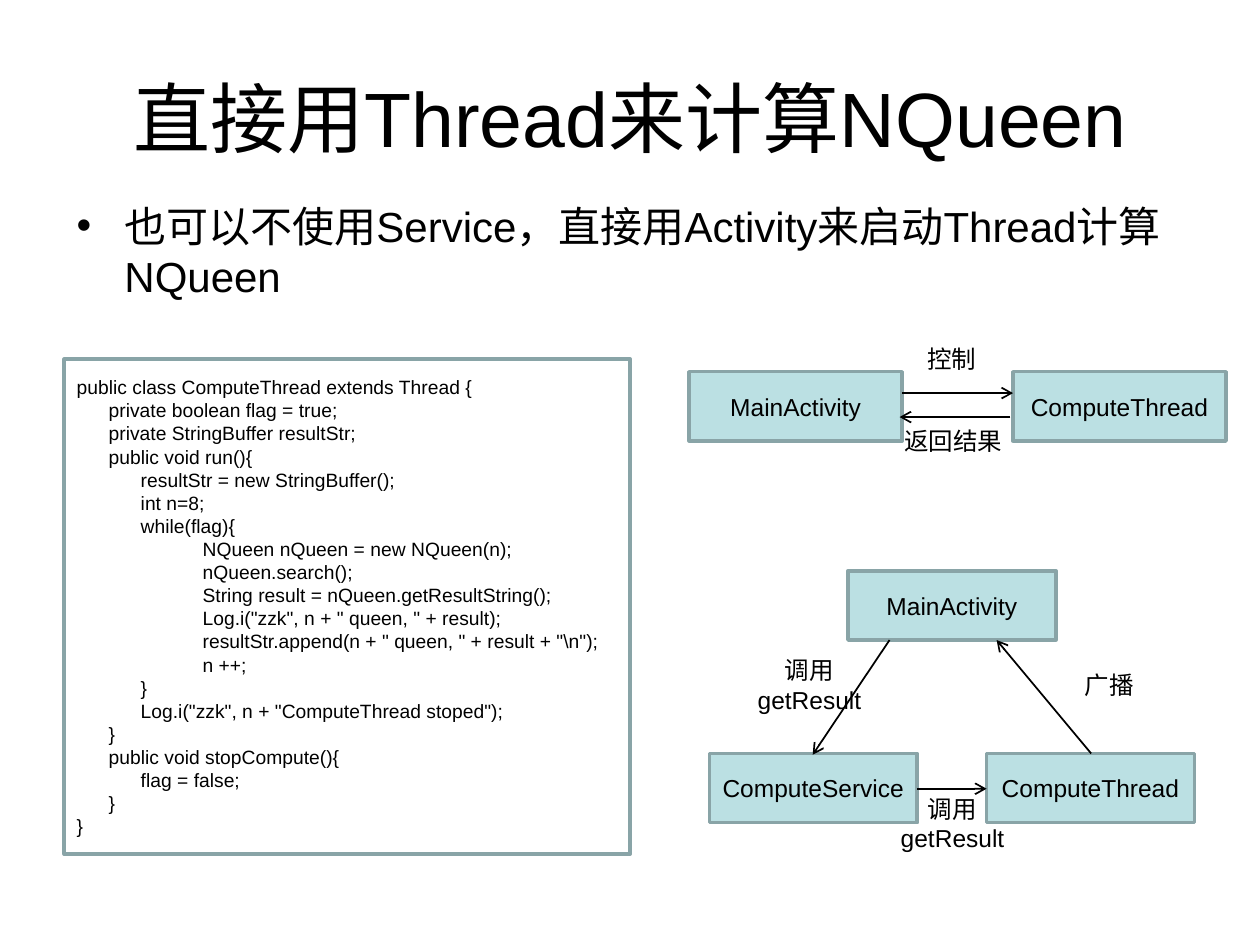
from dataclasses import dataclass

from lxml.etree import SubElement
from pptx import Presentation
from pptx.dml.color import RGBColor
from pptx.enum.shapes import MSO_CONNECTOR, MSO_SHAPE
from pptx.enum.text import MSO_ANCHOR, PP_ALIGN
from pptx.oxml.ns import qn
from pptx.util import Emu, Pt

PX = 9144  # 100 px to the inch
COLORS = {"text": "000000", "box": "BBE0E3", "border": "89A4A7", "paper": "FFFFFF"}
FONT = "Arial"

CODE = r"""public class ComputeThread extends Thread {
      private boolean flag = true;
      private StringBuffer resultStr;
      public void run(){
            resultStr = new StringBuffer();
            int n=8;
            while(flag){
    	NQueen nQueen = new NQueen(n);
    	nQueen.search();
    	String result = nQueen.getResultString();
    	Log.i("zzk", n + " queen, " + result);
    	resultStr.append(n + " queen, " + result + "\n");
	n ++;
            }
            Log.i("zzk", n + "ComputeThread stoped");
      }
      public void stopCompute(){
            flag = false;
      }
}"""


@dataclass(frozen=True)
class Area:
    left: int
    top: int
    width: int
    height: int
    text: str


@dataclass(frozen=True)
class Arrow:
    start_x: int
    start_y: int
    end_x: int
    end_y: int


BOXES = [
    Area(783, 598, 165, 55, "ComputeThread"),
    Area(673, 453, 165, 55, "MainActivity"),
    Area(563, 598, 165, 55, "ComputeService"),
    Area(547, 295, 169, 55, "MainActivity"),
    Area(804, 295, 169, 55, "ComputeThread"),
]
ARROWS = [
    Arrow(866, 598, 791, 508),
    Arrow(706, 508, 645, 599),
    Arrow(728, 626, 783, 626),
    Arrow(716, 312, 804, 312),
    Arrow(802, 331, 714, 331),
]
LABELS = [
    Area(839, 516, 83, 55, "广播"),
    Area(579, 516, 127, 55, "调用getResult"),
    Area(692, 626, 128, 55, "调用getResult"),
    Area(714, 257, 83, 55, "控制"),
    Area(706, 322, 101, 55, "返回结果"),
]


def color(name: str) -> RGBColor:
    return RGBColor.from_string(COLORS[name])


def px(value: int) -> Emu:
    return Emu(value * PX)


def add_bullet(paragraph, indent: int) -> None:
    properties = paragraph._p.get_or_add_pPr()
    properties.set("marL", str(px(indent)))
    properties.set("indent", str(-px(indent)))
    SubElement(properties, qn("a:buFont")).set("typeface", FONT)
    SubElement(properties, qn("a:buChar")).set("char", "•")


def add_tab_stop(paragraph, position: int) -> None:
    tab_list = SubElement(paragraph._p.get_or_add_pPr(), qn("a:tabLst"))
    tab = SubElement(tab_list, qn("a:tab"))
    tab.set("pos", str(px(position)))
    tab.set("algn", "l")


def write_text(shape, text: str, *, size: int, align=PP_ALIGN.CENTER,
               anchor=MSO_ANCHOR.MIDDLE, bullet_indent: int = 0) -> None:
    frame = shape.text_frame
    frame.word_wrap = True
    frame.vertical_anchor = anchor
    for index, line in enumerate(text.split("\n")):
        paragraph = frame.add_paragraph() if index else frame.paragraphs[0]
        paragraph.alignment = align
        if bullet_indent:
            add_bullet(paragraph, bullet_indent)
        if "\t" in line:
            add_tab_stop(paragraph, 100)
        run = paragraph.add_run()
        run.text = line
        run.font.name = FONT
        run.font.size = Pt(size)
        run.font.color.rgb = color("text")


def add_text(slide, area: Area, **text_format) -> None:
    shape = slide.shapes.add_textbox(
        px(area.left), px(area.top), px(area.width), px(area.height))
    write_text(shape, area.text, **text_format)


def add_box(slide, area: Area, fill: str, **text_format) -> None:
    shape = slide.shapes.add_shape(
        MSO_SHAPE.RECTANGLE,
        px(area.left), px(area.top), px(area.width), px(area.height))
    shape.shadow.inherit = False
    shape.fill.solid()
    shape.fill.fore_color.rgb = color(fill)
    shape.line.color.rgb = color("border")
    shape.line.width = Pt(2)
    write_text(shape, area.text, **text_format)


def add_arrow(slide, arrow: Arrow) -> None:
    connector = slide.shapes.add_connector(
        MSO_CONNECTOR.STRAIGHT, px(arrow.start_x), px(arrow.start_y),
        px(arrow.end_x), px(arrow.end_y))
    connector.line.color.rgb = color("text")
    connector.line.width = Pt(1)
    SubElement(connector.line._get_or_add_ln(), qn("a:tailEnd")).set("type", "arrow")
    SubElement(connector._element.spPr, qn("a:effectLst"))


def main() -> None:
    presentation = Presentation()
    presentation.slide_width = px(1000)
    presentation.slide_height = px(750)
    slide = presentation.slides.add_slide(presentation.slide_layouts[6])

    # Title and bullet
    add_text(slide, Area(50, 30, 900, 125, "直接用Thread来计算NQueen"), size=44)
    add_text(slide, Area(51, 154, 900, 102,
                         "也可以不使用Service，直接用Activity来启动Thread计算NQueen"),
             size=24, align=PP_ALIGN.LEFT, anchor=MSO_ANCHOR.TOP, bullet_indent=38)

    # Two diagrams: direct thread above, service below
    for box in BOXES:
        add_box(slide, box, "box", size=14)
    for arrow in ARROWS:
        add_arrow(slide, arrow)
    for label in LABELS:
        add_text(slide, label, size=14)

    # Code listing
    add_box(slide, Area(51, 285, 449, 393, CODE), "paper", size=11, align=PP_ALIGN.LEFT)

    presentation.save("out.pptx")


if __name__ == "__main__":
    main()
